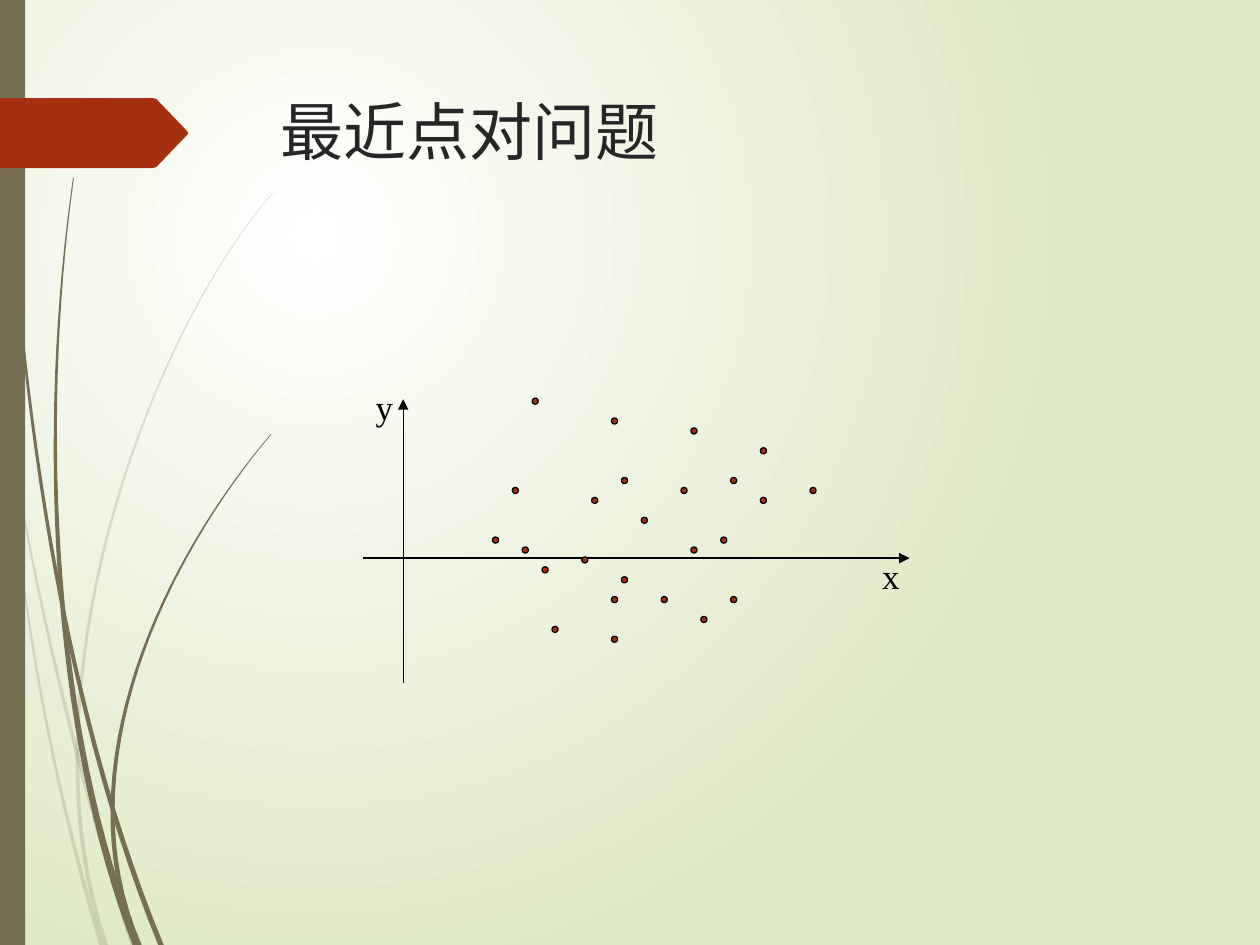
import dataclasses

import pptx
import pptx.dml.color
import pptx.enum.shapes
import pptx.enum.text
import pptx.oxml
import pptx.oxml.ns
import pptx.util

Pt = pptx.util.Pt
RGB = pptx.dml.color.RGBColor.from_string
NS = pptx.oxml.ns.nsdecls("a")


@dataclasses.dataclass(frozen=True)
class Theme:
    """Colours, fonts and sizes of the deck."""
    glow: str = "FFFFFF"
    meadow: str = "DFE8C4"
    stem: str = "766F54"
    accent: str = "A53010"
    heading: str = "262626"
    ink: str = "000000"
    heading_font: str = "League Spartan"
    label_font: str = "Times New Roman"
    heading_size: float = 36
    label_size: float = 20
    rule: float = 0.75
    pale_alpha: int = 20


@dataclasses.dataclass(frozen=True)
class Box:
    """A region of the slide, in points."""
    left: float
    top: float
    width: float
    height: float

    def at(self, x, y):
        """Return the slide position of a point inside the region."""
        return Pt(self.left + x), Pt(self.top + y)


@dataclasses.dataclass(frozen=True)
class Blade:
    """A grass blade: a cubic spine from tip to root, widening to the root."""
    tip: tuple
    tip_pull: tuple
    root_pull: tuple
    root: tuple
    root_width: float

    def spine(self, t):
        """Return the point at share t of the way from tip to root."""
        s = 1 - t
        weights = (s ** 3, 3 * s * s * t, 3 * s * t * t, t ** 3)
        knots = (self.tip, self.tip_pull, self.root_pull, self.root)
        return tuple(sum(w * knot[axis] for w, knot in zip(weights, knots)) for axis in (0, 1))

    def outline(self):
        """Return the left side down to the root and the right side back up."""
        left, right = [], []
        for step in range(BLADE_STEPS + 1):
            t = step / BLADE_STEPS
            x, y = self.spine(t)
            half = (TIP_WIDTH + t * (self.root_width - TIP_WIDTH)) / 2
            left.append((x - half, y))
            right.append((x + half, y))
        return left + right[::-1]


THEME = Theme()
BLADE_STEPS = 32
TIP_WIDTH = 0.5
PALE_TUFT = (
    Blade((0, 209), (14, 317), (43, 439), (76, 540), 3),
    Blade((6, 252), (11, 353), (34, 461), (58, 540), 2.5),
    Blade((156, 110), (83, 194), (11, 396), (60.5, 540), 2.5),
)
DARK_TUFT = (
    Blade((2, 0), (4, 173), (27, 382), (92, 540), 3.2),
    Blade((42, 101.5), (21.6, 245), (30, 418), (78, 540), 4.5),
    Blade((155, 248), (94, 320), (36, 439), (79.5, 540), 3),
)
DOT_STEP = 5.67
DOT_SIZE = 3.5
DOT_COLUMNS_BY_ROW = {
    0: (4,), 2: (12,), 3: (20,), 5: (27,), 8: (13, 24), 9: (2, 19, 32), 10: (10, 27),
    12: (15,), 14: (0, 23), 15: (3, 20), 16: (9,), 17: (5,), 18: (13,),
    20: (12, 17, 24), 22: (21,), 23: (6,), 24: (12,),
}


def apply(target, **values):
    """Set each named attribute of the target."""
    for name, value in values.items():
        setattr(target, name, value)


def paint(part, fill, outline=None, alpha=None):
    """Give a shape a flat fill, an optional outline and no shadow."""
    part.shadow.inherit = False
    part.fill.solid()
    part.fill.fore_color.rgb = RGB(fill)
    if alpha:
        colour = part._element.spPr.find(".//" + pptx.oxml.ns.qn("a:srgbClr"))
        colour.append(pptx.oxml.parse_xml(f'<a:alpha {NS} val="{alpha * 1000}"/>'))
    if outline:
        part.line.color.rgb = RGB(outline)
        part.line.width = Pt(THEME.rule)
    else:
        part.line.fill.background()


def add_outline(shapes, box, points):
    """Add a closed outline through points given inside the box."""
    start, *rest = [box.at(*point) for point in points]
    builder = shapes.build_freeform(*start)
    builder.add_line_segments(rest, close=True)
    return builder.convert_to_shape()


def add_background(slide):
    """Lay a circular glow behind the slide."""
    fill = slide.background.fill
    fill.gradient()
    for stop, colour, position in zip(fill.gradient_stops, (THEME.glow, THEME.meadow), (0, 1)):
        stop.color.rgb = RGB(colour)
        stop.position = position
    gradient = slide._element.find(".//" + pptx.oxml.ns.qn("a:gradFill"))
    gradient.replace(gradient.find(pptx.oxml.ns.qn("a:lin")), pptx.oxml.parse_xml(
        f'<a:path {NS} path="circle"><a:fillToRect l="50000" t="50000" r="100000" b="100000"/></a:path>'))


def add_tuft(slide, box, blades, alpha=None):
    """Draw one tuft of grass blades."""
    tuft = slide.shapes.add_group_shape()
    for blade in blades:
        paint(add_outline(tuft.shapes, box, blade.outline()), THEME.stem, alpha=alpha)


def add_edge(slide, box):
    """Draw the strip along the slide edge."""
    strip = slide.shapes.add_shape(
        pptx.enum.shapes.MSO_SHAPE.RECTANGLE, *box.at(0, 0), Pt(box.width), Pt(box.height))
    paint(strip, THEME.stem)


def add_marker(slide, box):
    """Draw the pointed marker beside the title."""
    width, height, middle = box.width, box.height, box.height / 2
    upper = [(0, 0), (width - 20, 0), (width - 18, 0.7), (width - 0.4, middle - 1)]
    lower = [(x, height - y) for x, y in reversed(upper)]
    paint(add_outline(slide.shapes, box, upper + [(width, middle)] + lower), THEME.accent)


def write(frame, text, font, size, colour, align):
    """Write one line of text in a frame."""
    frame.text = text
    line = frame.paragraphs[0]
    line.alignment = align
    apply(line.runs[0].font, name=font, size=Pt(size))
    line.runs[0].font.color.rgb = RGB(colour)
    return line


def add_title(slide, box, text):
    """Place and format the title."""
    title = slide.shapes.title
    left, top = box.at(0, 0)
    apply(title, left=left, top=top, width=Pt(box.width), height=Pt(box.height))
    apply(title.text_frame, vertical_anchor=pptx.enum.text.MSO_ANCHOR.TOP,
          auto_size=pptx.enum.text.MSO_AUTO_SIZE.NONE)
    write(title.text_frame, text, THEME.heading_font, THEME.heading_size, THEME.heading,
          pptx.enum.text.PP_ALIGN.LEFT)


def add_axis(shapes, start, end, label_text, label_place):
    """Draw an axis with an arrowhead at its end, and its label."""
    axis = shapes.add_connector(pptx.enum.shapes.MSO_CONNECTOR.STRAIGHT, *start, *end)
    axis.line.color.rgb = RGB(THEME.ink)
    axis.line.width = Pt(THEME.rule)
    axis.line._get_or_add_ln().append(pptx.oxml.parse_xml(f'<a:tailEnd {NS} type="triangle"/>'))
    axis._element.spPr.append(pptx.oxml.parse_xml(f"<a:effectLst {NS}/>"))
    label = shapes.add_textbox(*label_place, Pt(24.5), Pt(31))
    apply(label.text_frame, word_wrap=False,
          auto_size=pptx.enum.text.MSO_AUTO_SIZE.SHAPE_TO_FIT_TEXT)
    line = write(label.text_frame, label_text, THEME.label_font, THEME.label_size, THEME.ink,
                 pptx.enum.text.PP_ALIGN.CENTER)
    line.space_before = Pt(THEME.label_size * 0.2)


def add_plot(slide, box):
    """Draw the two labelled axes and the points scattered on a grid."""
    shapes = slide.shapes.add_group_shape().shapes
    x_axis_top, y_axis_left = 102.2, 23
    add_axis(shapes, box.at(0, x_axis_top), box.at(box.width, x_axis_top), "x", box.at(289.4, 96.5))
    add_axis(shapes, box.at(y_axis_left, box.height), box.at(y_axis_left, 11.5), "y", box.at(0, 0))
    for row, columns in DOT_COLUMNS_BY_ROW.items():
        for column in columns:
            place = box.at(74 + column * DOT_STEP, 10.8 + row * DOT_STEP)
            dot = shapes.add_shape(pptx.enum.shapes.MSO_SHAPE.OVAL, *place, Pt(DOT_SIZE), Pt(DOT_SIZE))
            paint(dot, THEME.accent, THEME.ink)


def main():
    """Build the slide and save it."""
    deck = pptx.Presentation()
    apply(deck, slide_width=Pt(720), slide_height=Pt(540))
    slide = deck.slides.add_slide(deck.slide_layouts.get_by_name("Title Only"))
    add_background(slide)
    meadow = Box(0, 0, 156, 540)
    add_tuft(slide, meadow, PALE_TUFT, THEME.pale_alpha)
    add_tuft(slide, meadow, DARK_TUFT)
    add_edge(slide, Box(0, 0, 14.4, 540))
    add_marker(slide, Box(0, 56, 107.5, 40))
    add_title(slide, Box(153, 49, 519, 100.8), "最近点对问题")
    add_plot(slide, Box(207.4, 216.7, 312.4, 173.5))
    deck.save("out.pptx")


if __name__ == "__main__":
    main()
